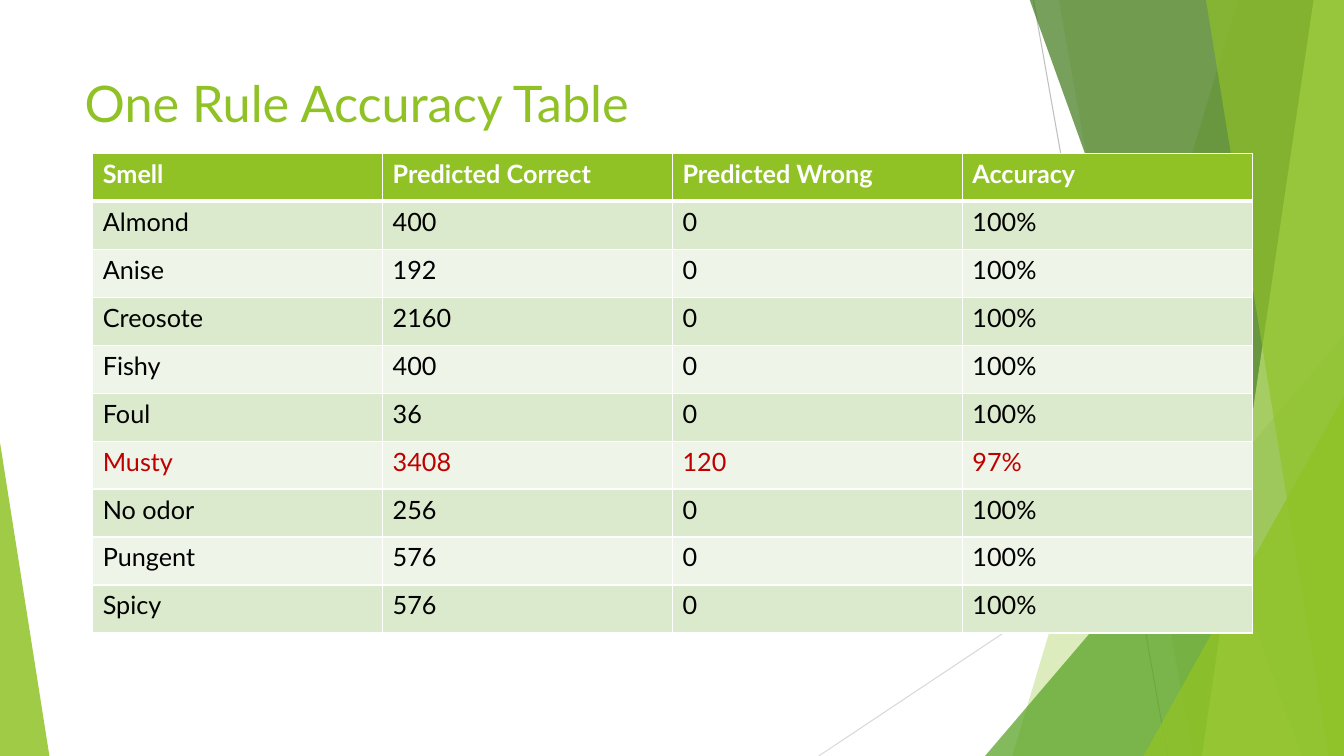
from lxml import etree
from pptx import Presentation
from pptx import util as u
from pptx.dml import color
from pptx.enum import shapes, text
from pptx.oxml import ns

LIME = "90C226"
WHITE = "FFFFFF"
BLACK = "000000"
RED = "C00000"
BANDS = ("DBE9CD", "EEF4E8")
TOP, BOTTOM, RIGHT = -0.01, 7.5, 13.33

HEADINGS = ("Smell", "Predicted Correct", "Predicted Wrong", "Accuracy")
SMELLS = (
    ("Almond", "400", "0", "100%"),
    ("Anise", "192", "0", "100%"),
    ("Creosote", "2160", "0", "100%"),
    ("Fishy", "400", "0", "100%"),
    ("Foul", "36", "0", "100%"),
    ("Musty", "3408", "120", "97%"),
    ("No odor", "256", "0", "100%"),
    ("Pungent", "576", "0", "100%"),
    ("Spicy", "576", "0", "100%"),
)


def rgb(value):
    return color.RGBColor.from_string(value)


def write(frame, words, size=18, ink=BLACK, bold=False):
    paragraph = frame.paragraphs[0]
    paragraph.alignment = text.PP_ALIGN.LEFT
    run = paragraph.add_run()
    run.text = words
    run.font.name = "Lato"
    run.font.size = u.Pt(size)
    run.font.bold = bold
    run.font.color.rgb = rgb(ink)


def paint(shape, tint, opacity):
    shape.shadow.inherit = False
    shape.fill.solid()
    shape.fill.fore_color.rgb = rgb(tint)
    shape.line.fill.background()
    tint_xml = shape._element.spPr.find(".//" + ns.qn("a:srgbClr"))
    etree.SubElement(tint_xml, ns.qn("a:alpha"), val=str(opacity * 1000))


def add_ray(slide, start, end, tint):
    ray = slide.shapes.add_connector(
        shapes.MSO_CONNECTOR.STRAIGHT, *map(u.Inches, start + end))
    ray.line.color.rgb = rgb(tint)
    ray.line.width = u.Pt(0.75)
    etree.SubElement(ray._element.spPr, ns.qn("a:effectLst"))


def add_shard(slide, upper_left, lower_left, tint, opacity):
    corners = [(upper_left, TOP), (RIGHT, TOP), (RIGHT, BOTTOM), (lower_left, BOTTOM)]
    points = [(u.Inches(x), u.Inches(y)) for x, y in corners]
    outline = slide.shapes.build_freeform(*points[0])
    outline.add_line_segments(points[1:], close=True)
    paint(outline.convert_to_shape(), tint, opacity)


def add_wedge(slide, left, top, width, apex, tint, opacity):
    wedge = slide.shapes.add_shape(
        shapes.MSO_SHAPE.ISOSCELES_TRIANGLE,
        *map(u.Inches, (left, top, width, BOTTOM - top)))
    wedge.adjustments[0] = apex
    paint(wedge, tint, opacity)


def add_facets(slide):
    add_ray(slide, (10.25, 0), (11.58, BOTTOM), "BFBFBF")
    add_ray(slide, (RIGHT, 4.03), (8.12, BOTTOM), "D9D9D9")
    add_shard(slide, 12.28, 10.04, LIME, 30)
    add_shard(slide, 10.5, 11.83, LIME, 20)
    add_wedge(slide, 9.77, 3.33, 3.56, 1, "54A021", 72)
    add_shard(slide, 10.21, 12.91, "3F7819", 70)
    add_shard(slide, 13.03, 11.92, "C0E474", 70)
    add_shard(slide, 11.96, 13.18, LIME, 65)
    add_wedge(slide, 11.34, 3.93, 1.99, 1, LIME, 80)
    add_wedge(slide, 0, 4.39, 0.49, 0, LIME, 85)


def set_title(slide, words):
    title = slide.shapes.title
    title.left, title.top, title.width, title.height = map(
        u.Inches, (0.74, 0.67, 9.4, 1.44))
    frame = title.text_frame
    frame.word_wrap = True
    frame.auto_size = text.MSO_AUTO_SIZE.NONE
    frame.vertical_anchor = text.MSO_ANCHOR.TOP
    write(frame, words, size=36, ink=LIME)


def border(cell, **widths):
    properties = cell._tc.get_or_add_tcPr()
    for side in "LRTB":
        edge = etree.SubElement(
            properties, ns.qn("a:ln" + side), w=str(u.Pt(widths.get(side, 1))))
        fill = etree.SubElement(edge, ns.qn("a:solidFill"))
        etree.SubElement(fill, ns.qn("a:srgbClr"), val=WHITE)


def fill_cell(cell, words, tint, ink, bold=False, **widths):
    border(cell, **widths)
    cell.fill.solid()
    cell.fill.fore_color.rgb = rgb(tint)
    write(cell.text_frame, words, ink=ink, bold=bold)


def add_accuracy_table(slide):
    accuracy = slide.shapes.add_table(
        len(SMELLS) + 1, len(HEADINGS),
        *map(u.Inches, (0.92, 1.52, 11.5, 4.76))).table
    for column, heading in enumerate(HEADINGS):
        fill_cell(accuracy.cell(0, column), heading, LIME, WHITE, bold=True, B=3)
    for row, smell in enumerate(SMELLS, 1):
        ink = BLACK if smell[-1] == "100%" else RED
        for column, words in enumerate(smell):
            fill_cell(accuracy.cell(row, column), words, BANDS[(row - 1) % 2], ink,
                      T=3 if row == 1 else 1)


def main():
    deck = Presentation()
    deck.slide_width, deck.slide_height = u.Inches(13.33), u.Inches(7.5)
    slide = deck.slides.add_slide(deck.slide_layouts.get_by_name("Title Only"))
    add_facets(slide)
    set_title(slide, "One Rule Accuracy Table")
    add_accuracy_table(slide)
    deck.save("out.pptx")


if __name__ == "__main__":
    main()
